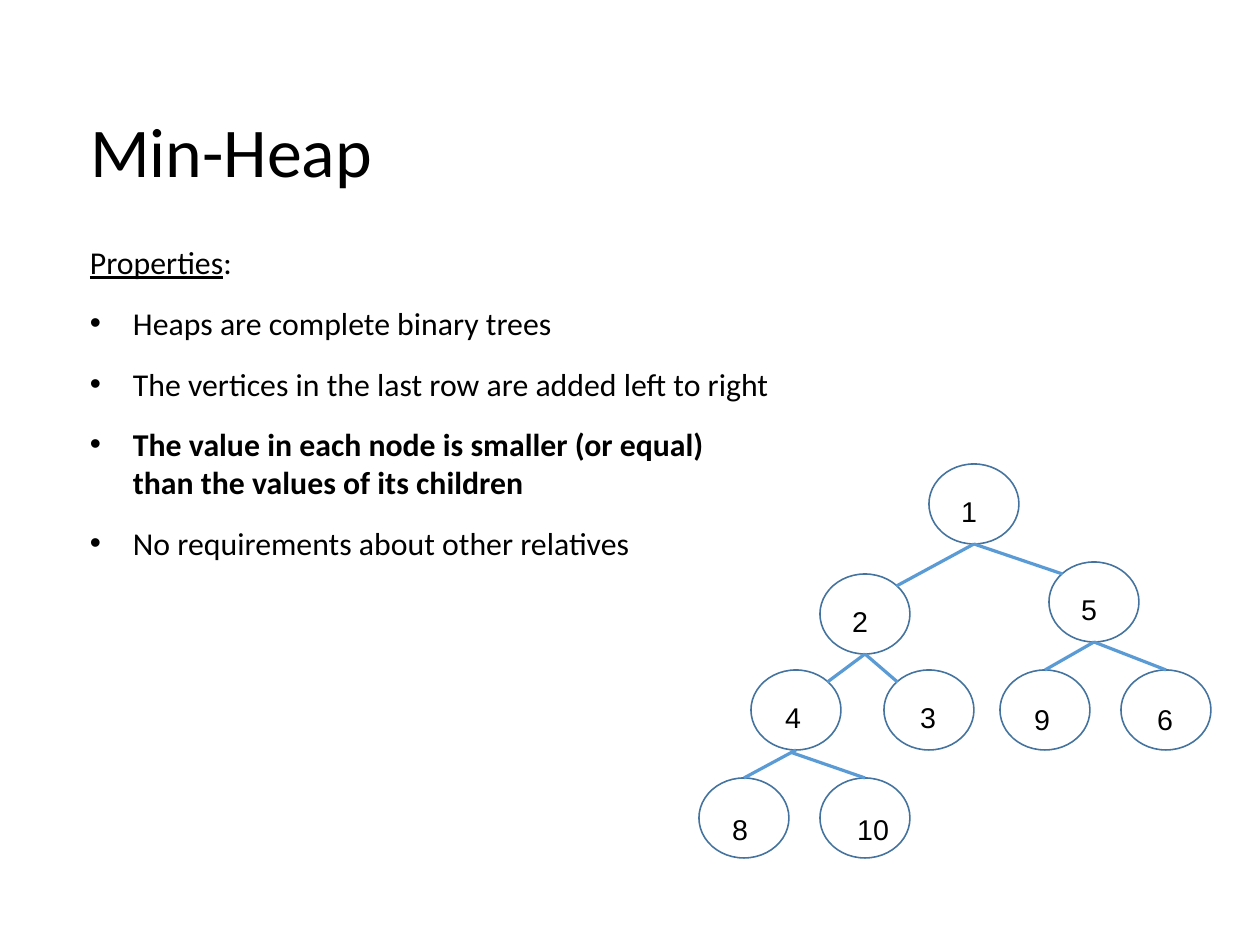
from lxml import etree
from pptx import Presentation
from pptx import util as u
from pptx.dml.color import RGBColor
from pptx.enum import shapes, text
from pptx.oxml.ns import qn

PX = 8000  # 45 px to the centimetre, so 28 by 21 cm is 1260 by 945 px
HUES = {"ink": "000000", "ring": "43739E", "edge": "5B9BD5"}
WIDE, HIGH = 90, 80  # size of a node

# Value: node left, top; label left, top, width, height
NODES = {
    1: (929, 464, 950, 488, 46, 32),
    2: (820, 574, 841, 598, 46, 32),
    5: (1049, 562, 1070, 586, 46, 46),
    4: (751, 670, 774, 694, 46, 46),
    3: (884, 670, 909, 694, 46, 46),
    9: (1000, 670, 1023, 696, 46, 46),
    6: (1121, 670, 1146, 696, 46, 46),
    8: (699, 778, 721, 806, 46, 46),
    10: (820, 778, 846, 806, 65, 46),
}
# Where an edge meets its child, as shares of the node size
ENDS = {"left": (0.15, 0.15), "top": (0.5, 0), "right": (0.85, 0.15)}
# Parent, child, end on the child, shift of the start
EDGES = [
    (1, 2, "right", (0, 0)), (1, 5, "left", (0, 0)),
    (2, 4, "right", (0, 0)), (2, 3, "left", (0, 0)),
    (5, 9, "top", (0, 0)), (5, 6, "top", (0, 0)),
    (4, 8, "top", (0, 0)), (4, 10, "top", (-6, 2)),
]
# Text, format of the first run, bullet
POINTS = [
    ("Properties", {"underline": True}, False),
    ("Heaps are complete binary trees", {}, True),
    ("The vertices in the last row are added left to right", {}, True),
    ("The value in each node is smaller (or equal)\vthan the values of its children",
     {"bold": True}, True),
    ("No requirements about other relatives", {}, True),
]


def px(*nums):
    return [u.Emu(round(n * PX)) for n in nums]


def hue(name):
    return RGBColor.from_string(HUES[name])


def style(para, size, face, **more):
    for run in para.runs:
        for key, val in {"size": u.Pt(size), "name": face, **more}.items():
            setattr(run.font, key, val)
        run.font.color.rgb = hue("ink")


def frame(shape, **form):
    for key, val in {"word_wrap": True, **form}.items():
        setattr(shape.text_frame, key, val)
    return shape.text_frame


def bare(**form):
    sides = ("left", "top", "right", "bottom")
    return {**{f"margin_{side}": 0 for side in sides}, **form}


def title(slide, words):
    head = slide.shapes.title
    for key, val in zip(("left", "top", "width", "height"), px(90, 86, 1057, 128)):
        setattr(head, key, val)
    box = frame(head, **bare(vertical_anchor=text.MSO_ANCHOR.MIDDLE))
    para = box.paragraphs[0]
    para.text = words
    para.alignment = text.PP_ALIGN.LEFT
    style(para, 44, "Calibri")


def bullet(para):
    props = para._p.get_or_add_pPr()
    dent = px(43)[0]
    props.set("marL", str(dent))
    props.set("indent", str(-dent))
    font = etree.SubElement(props, qn("a:buFont"))
    font.set("typeface", "Arial")
    mark = etree.SubElement(props, qn("a:buChar"))
    mark.set("char", "•")


def body(slide):
    box = frame(slide.shapes.add_textbox(*px(90, 243, 1106, 595)), **bare())
    for i, (words, form, dot) in enumerate(POINTS):
        para = box.add_paragraph() if i else box.paragraphs[0]
        if dot:
            bullet(para)
        para.space_after = u.Pt(14.2)
        para.text = words
        style(para, 20, "Calibri", **form)
    # Plain colon after the underlined heading
    para = box.paragraphs[0]
    para.add_run().text = ":"
    style(para, 20, "Calibri")
    para.runs[1].font.underline = False


def node(group, left, top):
    ring = group.shapes.add_shape(shapes.MSO_SHAPE.OVAL, *px(left, top, WIDE, HIGH))
    ring.shadow.inherit = False
    ring.fill.background()
    ring.line.color.rgb = hue("ring")
    ring.line.width = u.Pt(1)


def edge(group, start, end):
    line = group.shapes.add_connector(shapes.MSO_CONNECTOR.STRAIGHT, *px(*start, *end))
    line.line.color.rgb = hue("edge")
    line.line.width = u.Pt(2)
    etree.SubElement(line._element.spPr, qn("a:effectLst"))


def label(group, value, *place):
    box = frame(group.shapes.add_textbox(*px(*place)),
                auto_size=text.MSO_AUTO_SIZE.SHAPE_TO_FIT_TEXT)
    para = box.paragraphs[0]
    para.text = str(value)
    style(para, 18, "Arial")


def tree(slide):
    group = slide.shapes.add_group_shape()
    for left, top, *_ in NODES.values():
        node(group, left, top)
    for head, child, side, (dx, dy) in EDGES:
        x, y = NODES[head][:2]
        left, top = NODES[child][:2]
        fx, fy = ENDS[side]
        edge(group, (x + WIDE / 2 + dx, y + HIGH + dy),
             (left + fx * WIDE, top + fy * HIGH))
    for value, (_, _, *place) in NODES.items():
        label(group, value, *place)


def main():
    deck = Presentation()
    deck.slide_width, deck.slide_height = px(1260, 945)
    slide = deck.slides.add_slide(deck.slide_layouts[5])
    title(slide, "Min-Heap")
    body(slide)
    tree(slide)
    deck.save("out.pptx")


if __name__ == "__main__":
    main()
